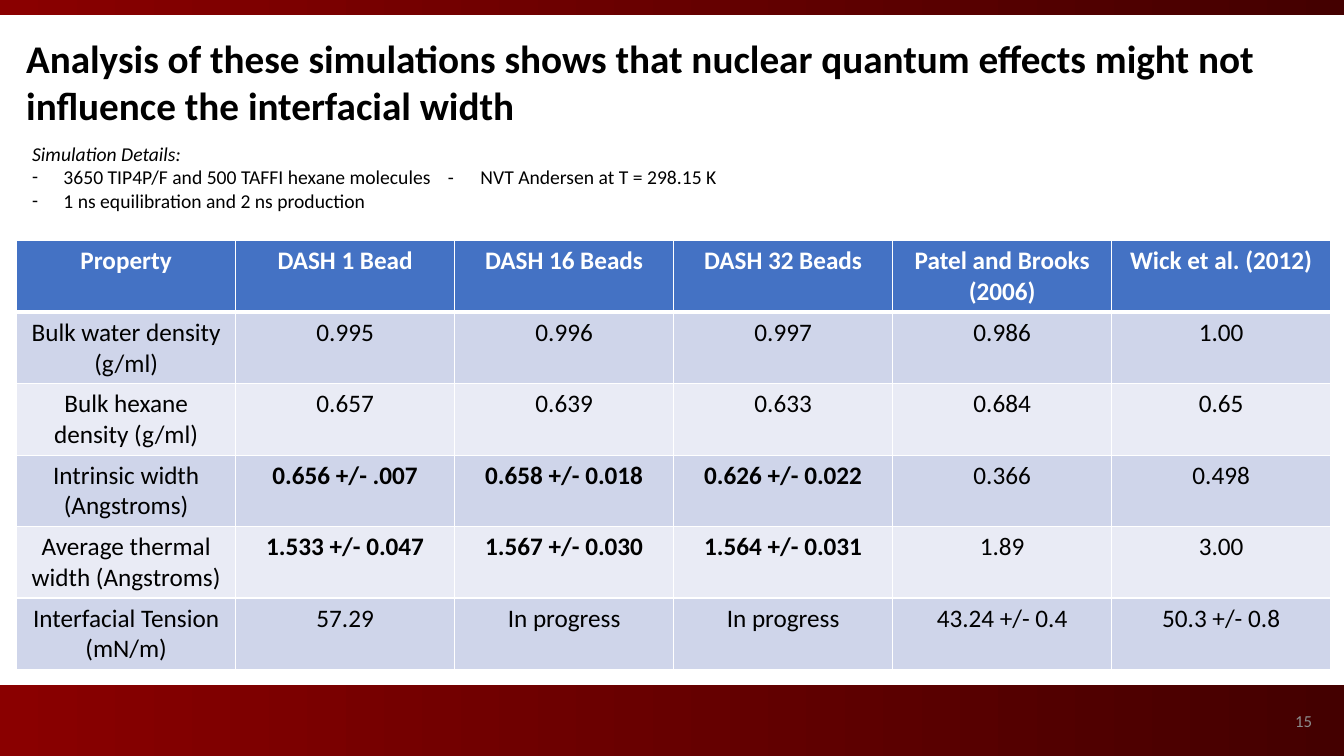
"""Build the slide on interfacial width and nuclear quantum effects."""
from lxml import etree
from pptx import Presentation
from pptx.dml.color import RGBColor
from pptx.enum.shapes import MSO_SHAPE
from pptx.enum.text import MSO_ANCHOR, PP_ALIGN
from pptx.oxml.ns import qn
from pptx.util import Cm, Pt

RECTANGLE = MSO_SHAPE.RECTANGLE
TOP, MIDDLE = MSO_ANCHOR.TOP, MSO_ANCHOR.MIDDLE
LEFT, CENTER, RIGHT = PP_ALIGN.LEFT, PP_ALIGN.CENTER, PP_ALIGN.RIGHT
FONT = "Calibri"
BLACK, WHITE, GREY = "000000", "FFFFFF", "8C8C8C"
RED, DARK_RED = "8A0000", "440000"
HEADER_BLUE, BAND_DARK, BAND_LIGHT = "4472C4", "CFD5EA", "E9EBF5"
SLIDE_WIDTH, SLIDE_HEIGHT = 33.87, 19.05
COLUMN_WIDTH, ROW_HEIGHT = 5.52, 1.8
BULLET_INDENT = 0.79
DETAIL_TABS = (10.48, 11.3)

TITLE = ("Analysis of these simulations shows that nuclear quantum effects "
         "might not influence the interfacial width")
DETAILS = (
    "3650 TIP4P/F and 500 TAFFI hexane molecules\t-\tNVT Andersen at T = 298.15 K",
    "1 ns equilibration and 2 ns production",
)
PROPERTIES = (
    ("Property", "DASH 1 Bead", "DASH 16 Beads", "DASH 32 Beads",
     "Patel and Brooks (2006)", "Wick et al. (2012)"),
    ("Bulk water density (g/ml)", "0.995", "0.996", "0.997", "0.986", "1.00"),
    ("Bulk hexane density (g/ml)", "0.657", "0.639", "0.633", "0.684", "0.65"),
    ("Intrinsic width (Angstroms)", "0.656 +/- .007", "0.658 +/- 0.018",
     "0.626 +/- 0.022", "0.366", "0.498"),
    ("Average thermal width (Angstroms)", "1.533 +/- 0.047", "1.567 +/- 0.030",
     "1.564 +/- 0.031", "1.89", "3.00"),
    ("Interfacial Tension (mN/m)", "57.29", "In progress", "In progress",
     "43.24 +/- 0.4", "50.3 +/- 0.8"),
)
WIDTH_ROWS, DASH_COLUMNS = (3, 4), (1, 2, 3)


def rgb(value):
    """Turn a hex string into a colour."""
    return RGBColor.from_string(value)


def add_run(paragraph, text, size, color=BLACK, bold=False, italic=False):
    """Append one formatted run to a paragraph."""
    run = paragraph.add_run()
    run.text = text
    font = run.font
    font.name, font.size = FONT, Pt(size)
    font.bold, font.italic = bold, italic
    font.color.rgb = rgb(color)


def add_band(slide, top, height):
    """Draw a full-width red gradient band."""
    band = slide.shapes.add_shape(
        RECTANGLE, Cm(0), Cm(top), Cm(SLIDE_WIDTH), Cm(height))
    band.shadow.inherit = False
    band.line.fill.background()
    band.fill.gradient()
    band.fill.gradient_angle = 0
    for stop, color in zip(band.fill.gradient_stops, (RED, DARK_RED)):
        stop.color.rgb = rgb(color)


def add_text(slide, left, top, width, height, anchor=TOP, align=LEFT):
    """Add a wrapping text box and return its text frame."""
    box = slide.shapes.add_textbox(Cm(left), Cm(top), Cm(width), Cm(height))
    frame = box.text_frame
    frame.word_wrap = True
    frame.vertical_anchor = anchor
    frame.paragraphs[0].alignment = align
    return frame


def add_dash_bullet(paragraph, tabs):
    """Give a paragraph a hanging dash bullet and tab stops."""
    properties = paragraph._p.get_or_add_pPr()
    properties.set("marL", str(Cm(BULLET_INDENT)))
    properties.set("indent", str(-Cm(BULLET_INDENT)))
    etree.SubElement(properties, qn("a:buFont"), typeface=FONT)
    etree.SubElement(properties, qn("a:buChar"), char="-")
    stops = etree.SubElement(properties, qn("a:tabLst"))
    for position in tabs:
        etree.SubElement(stops, qn("a:tab"), pos=str(Cm(position)), algn="l")


def add_details(slide):
    """Add the simulation details with their dash list."""
    frame = add_text(slide, 0.56, 3.45, 23.85, 2.06)
    add_run(frame.paragraphs[0], "Simulation Details:", 14, italic=True)
    for detail in DETAILS:
        paragraph = frame.add_paragraph()
        add_dash_bullet(paragraph, DETAIL_TABS if "\t" in detail else ())
        add_run(paragraph, detail, 14)


def set_borders(cell, top, bottom):
    """Outline a cell in white, with given top and bottom widths."""
    properties = cell._tc.get_or_add_tcPr()
    sides = (("a:lnL", 1), ("a:lnR", 1), ("a:lnT", top), ("a:lnB", bottom))
    for index, (tag, width) in enumerate(sides):
        line = etree.Element(qn(tag), w=str(Pt(width)))
        fill = etree.SubElement(line, qn("a:solidFill"))
        etree.SubElement(fill, qn("a:srgbClr"), val=WHITE)
        properties.insert(index, line)


def add_property_table(slide):
    """Add the table comparing properties between simulations."""
    rows, columns = len(PROPERTIES), len(PROPERTIES[0])
    table = slide.shapes.add_table(
        rows, columns, Cm(0.42), Cm(6.07),
        Cm(COLUMN_WIDTH * columns), Cm(ROW_HEIGHT * rows)).table
    for column in table.columns:
        column.width = Cm(COLUMN_WIDTH)
    for r, values in enumerate(PROPERTIES):
        table.rows[r].height = Cm(ROW_HEIGHT)
        header = r == 0
        band = HEADER_BLUE if header else BAND_DARK if r % 2 else BAND_LIGHT
        for c, value in enumerate(values):
            cell = table.cell(r, c)
            cell.fill.solid()
            cell.fill.fore_color.rgb = rgb(band)
            set_borders(cell, 3 if r == 1 else 1, 3 if header else 1)
            paragraph = cell.text_frame.paragraphs[0]
            paragraph.alignment = CENTER
            bold = header or (r in WIDTH_ROWS and c in DASH_COLUMNS)
            add_run(paragraph, value, 18, WHITE if header else BLACK, bold)


def main():
    """Build and save the presentation."""
    presentation = Presentation()
    presentation.slide_width = Cm(SLIDE_WIDTH)
    presentation.slide_height = Cm(SLIDE_HEIGHT)
    slide = presentation.slides.add_slide(presentation.slide_layouts[6])
    add_band(slide, 17.27, 1.78)
    add_band(slide, 0, 0.38)
    number = add_text(slide, 25.7, 17.65, 7.62, 1.02, MIDDLE, RIGHT)
    add_run(number.paragraphs[0], "15", 12, GREY)
    add_property_table(slide)
    add_details(slide)
    title = add_text(slide, 0.41, 0.74, 33.45, 2.64)
    add_run(title.paragraphs[0], TITLE, 28, bold=True)
    presentation.save("out.pptx")


if __name__ == "__main__":
    main()
